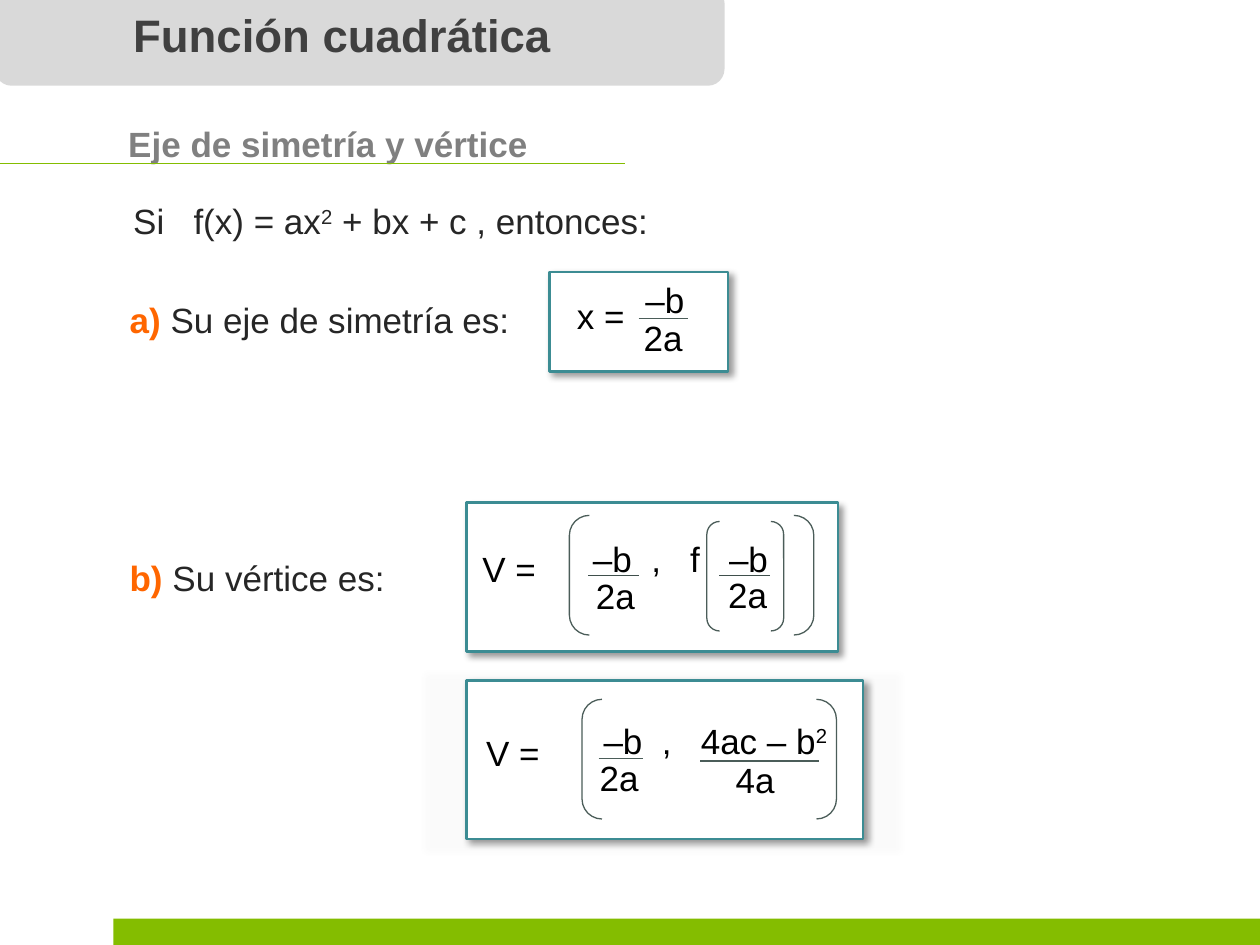
from lxml import etree
from pptx import Presentation
from pptx.dml.color import RGBColor
from pptx.enum import shapes, text
from pptx.oxml import ns
from pptx.util import Pt

COLORS = {
    "green": "84BD00", "tab": "D9D9D9", "title": "404040", "subtitle": "808080",
    "body": "262626", "label": "FF6600", "formula": "000000", "paper": "FFFFFF",
    "frame": "3C8C93", "bar": "3F4F4C", "bracket": "4B5D59", "shadow": "000000",
}
SHAPE = shapes.MSO_SHAPE
ROW_HEIGHT = 31.7
FRACTION_TABS = (33.4, 55.6, 77.8)


def rgb(name):
    return RGBColor.from_string(COLORS[name])


def add_child(parent, tag, **attributes):
    values = {key: str(value) for key, value in attributes.items()}
    return etree.SubElement(parent, ns.qn(tag), values)


def add_block(parent, kind, box, fill=None, line=None, weight=0.75):
    block = parent.shapes.add_shape(kind, *map(Pt, box))
    block.shadow.inherit = False
    if fill:
        block.fill.solid()
        block.fill.fore_color.rgb = rgb(fill)
    else:
        block.fill.background()
    if line:
        block.line.color.rgb = rgb(line)
        block.line.width = Pt(weight)
    else:
        block.line.fill.background()
    return block


def cast_shadow(block):
    effects = block._element.spPr.find(ns.qn("a:effectLst"))
    outer = add_child(effects, "a:outerShdw", blurRad=Pt(4), dist=Pt(3),
                      dir=45 * 60000, algn="tl", rotWithShape=0)
    color = add_child(outer, "a:srgbClr", val=COLORS["shadow"])
    add_child(color, "a:alpha", val=40000)


def add_frame(parent, box):
    cast_shadow(add_block(parent, SHAPE.RECTANGLE, box, "paper", "frame", 1.5))


def add_haze(parent, box):
    haze = add_block(parent, SHAPE.RECTANGLE, box, "paper")
    color = haze._element.spPr.find(ns.qn("a:solidFill"))[0]
    add_child(color, "a:alpha", val=5000)
    cast_shadow(haze)


def add_brackets(parent, box):
    add_block(parent, SHAPE.DOUBLE_BRACKET, box, line="bracket")


def add_rule(parent, left, right, y, color="bracket"):
    rule = parent.shapes.add_connector(
        shapes.MSO_CONNECTOR.STRAIGHT, Pt(left), Pt(y), Pt(right), Pt(y))
    rule.line.color.rgb = rgb(color)
    rule.line.width = Pt(0.75)
    add_child(rule._element.spPr, "a:effectLst")


def add_text(parent, box, parts, color="formula", size=20, bold=False,
             wrap=True, spacing=None, tabs=()):
    holder = parent.shapes.add_textbox(*map(Pt, box))
    frame = holder.text_frame
    frame.word_wrap = wrap
    frame.auto_size = text.MSO_AUTO_SIZE.SHAPE_TO_FIT_TEXT
    paragraph = frame.paragraphs[0]
    if spacing:
        paragraph.line_spacing = spacing
    if tabs:
        stops = add_child(paragraph._p.get_or_add_pPr(), "a:tabLst")
        for stop in tabs:
            add_child(stops, "a:tab", pos=Pt(stop), algn="l")
    for part in parts:
        run = paragraph.add_run()
        run.text = part
        run.font.name = "Arial"
        run.font.size = Pt(size)
        run.font.bold = bold
        run.font.color.rgb = rgb(color)
    return holder


def raise_run(holder, index):
    run = holder.text_frame.paragraphs[0].runs[index]
    run._r.get_or_add_rPr().set("baseline", "30000")


def add_term(parent, left, top, term, width=36.7):
    add_text(parent, (left, top, width, ROW_HEIGHT), [term], wrap=False)


def add_item(slide, top, width, label, statement):
    item = add_text(slide, (67, top, width, 36), [label, statement],
                    color="body", wrap=False, spacing=1.2)
    label_run = item.text_frame.paragraphs[0].runs[0]
    label_run.font.bold = True
    label_run.font.color.rgb = rgb("label")


def add_vertex_by_function(slide):
    vertex = slide.shapes.add_group_shape()
    add_frame(vertex, (266.4, 287.3, 212.4, 85))
    for left in (336.2, 411.1):
        add_rule(vertex, left, left + 28.8, 329, "bar")
    add_term(vertex, 333.4, 324.7, "2a")
    add_term(vertex, 409, 324, "2a")
    add_brackets(vertex, (325.4, 294.5, 139.7, 68.4))
    add_term(vertex, 268.6, 309.6, "V =", 45.4)
    add_brackets(vertex, (403.9, 298, 43.9, 62.6))
    add_text(vertex, (331.7, 303.8, 260, ROW_HEIGHT), ["–b\t,\tf\t–b"],
             tabs=FRACTION_TABS)


def add_vertex_by_coefficients(slide):
    vertex = slide.shapes.add_group_shape()
    add_haze(vertex, (240.5, 383, 272.2, 102.2))
    add_frame(vertex, (266.4, 388.8, 226.8, 90.7))
    add_term(vertex, 413.3, 429.8, "4a")
    numerators = add_text(vertex, (337.8, 407.5, 210, ROW_HEIGHT),
                          ["–b\t,\t4ac – b", "2"], tabs=FRACTION_TABS[:2])
    raise_run(numerators, 1)
    add_term(vertex, 335.5, 429, "2a")
    add_term(vertex, 270.7, 414.7, "V =", 45.4)
    add_brackets(vertex, (332.6, 399.6, 145.4, 68.4))
    add_rule(vertex, 342, 367.2, 433.4)
    add_rule(vertex, 400.3, 468, 434.9)


def add_axis(slide):
    axis = slide.shapes.add_group_shape()
    add_frame(axis, (313.9, 155.5, 102.2, 56.9))
    add_text(axis, (361.7, 155.5, 56, ROW_HEIGHT), ["–b"])
    add_term(axis, 360.7, 177.1, "2a")
    add_term(axis, 322.6, 164.9, "x =", 41.8)
    add_rule(axis, 365, 393.1, 182.2)


def add_headings(slide):
    add_text(slide, (66.2, 66.2, 257.8, ROW_HEIGHT),
             ["Eje de simetría y vértice"], color="subtitle", bold=True)
    add_block(slide, SHAPE.ROUNDED_RECTANGLE, (-2.9, -7.9, 416.9, 56.9), "tab")
    add_text(slide, (69, 0.7, 512, 38.9), ["Función cuadrática"],
             color="title", size=26, bold=True)
    add_rule(slide, 0, 357.1, 93.6, "green")


def main():
    deck = Presentation()
    deck.slide_width, deck.slide_height = Pt(720), Pt(540)
    slide = deck.slides.add_slide(deck.slide_layouts[6])
    add_block(slide, SHAPE.RECTANGLE, (64.8, 524.9, 655.2, 15.1), "green")
    premise = add_text(slide, (69, 106.6, 322.6, 34),
                       ["Si\tf(x) = ax", "2", " + bx + c , entonces:"],
                       color="body", spacing=1.2, tabs=(34.5,))
    premise.text_frame.vertical_anchor = text.MSO_ANCHOR.MIDDLE
    raise_run(premise, 1)
    add_item(slide, 309.6, 161.3, "b) ", "Su vértice es:")
    add_item(slide, 162, 233.3, "a) ", "Su eje de simetría es:")
    add_vertex_by_function(slide)
    add_vertex_by_coefficients(slide)
    add_axis(slide)
    add_headings(slide)
    deck.save("out.pptx")


if __name__ == "__main__":
    main()
